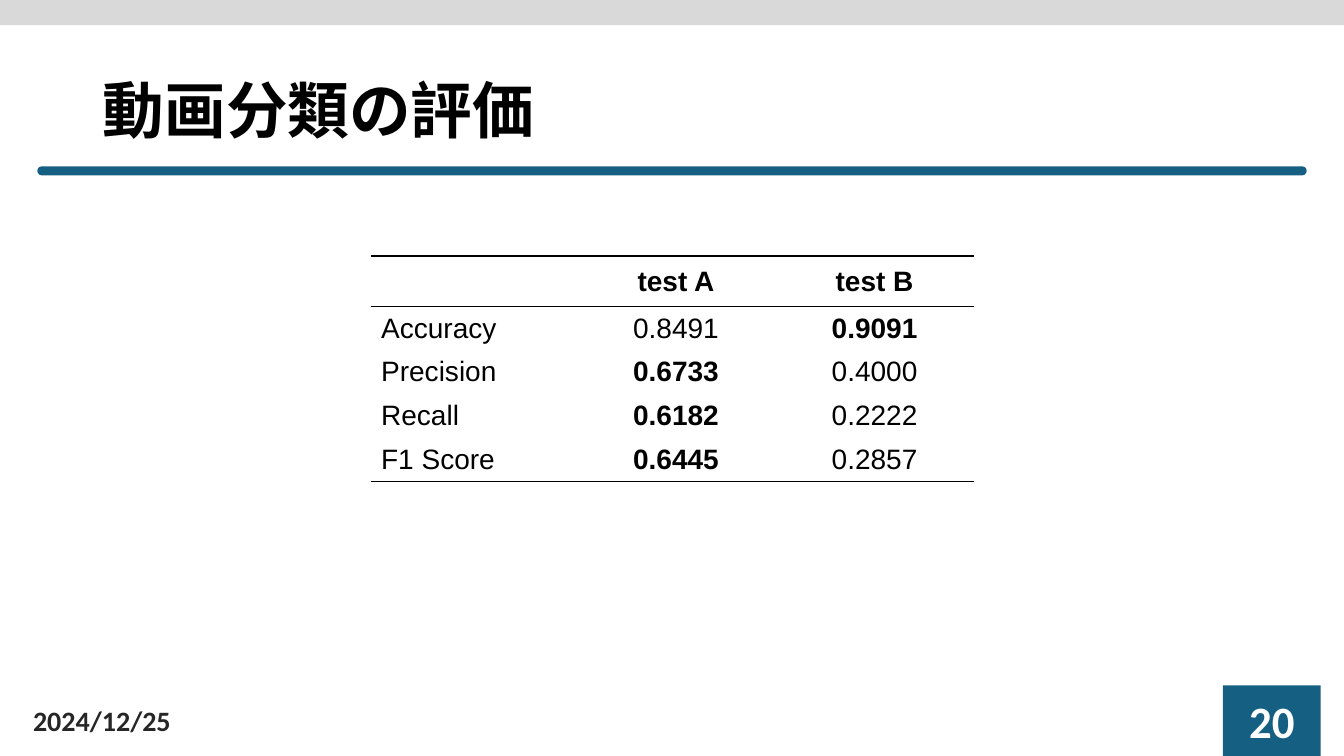
from lxml import etree
from pptx import Presentation
from pptx.dml.color import RGBColor
from pptx.enum import shapes, text
from pptx.oxml import ns
from pptx.util import Inches, Pt

TITLE = "動画分類の評価"
DATE = "2024/12/25"
PAGE = "20"
SCORES = [
    ("", "test A", "test B"),
    ("Accuracy", "0.8491", "0.9091"),
    ("Precision", "0.6733", "0.4000"),
    ("Recall", "0.6182", "0.2222"),
    ("F1 Score", "0.6445", "0.2857"),
]
COLUMN_WIDTHS = [2.04, 1.97, 1.97]
ROW_HEIGHTS = [0.5] + [0.435] * 4
RULED_EDGES = {0, 1, len(SCORES)}
COLORS = {"band": "D9D9D9", "accent": "156082", "black": "000000",
          "date": "262626", "white": "FFFFFF"}


def rgb(name):
    return RGBColor.from_string(COLORS[name])


def write(frame, content, size, color, font="Calibri", bold=True,
          align=text.PP_ALIGN.LEFT):
    frame.text = content
    paragraph = frame.paragraphs[0]
    paragraph.alignment = align
    paragraph.font.size = Pt(size)
    for run in paragraph.runs:
        run.font.name = font
        run.font.size = Pt(size)
        run.font.bold = bold
        run.font.color.rgb = rgb(color)


def add_block(slide, kind, box, color):
    shape = slide.shapes.add_shape(kind, *map(Inches, box))
    shape.shadow.inherit = False
    shape.fill.solid()
    shape.fill.fore_color.rgb = rgb(color)
    shape.line.fill.background()
    return shape


def set_border(cell, side, visible):
    properties = cell._tc.get_or_add_tcPr()
    line = etree.SubElement(properties, ns.qn("a:ln" + side), w=str(Pt(1)))
    if visible:
        fill = etree.SubElement(line, ns.qn("a:solidFill"))
        etree.SubElement(fill, ns.qn("a:srgbClr"), val=COLORS["black"])
    else:
        etree.SubElement(line, ns.qn("a:noFill"))


presentation = Presentation()
presentation.slide_width = Inches(13.33)
presentation.slide_height = Inches(7.5)
slide = presentation.slides.add_slide(presentation.slide_layouts[5])

# Top band, title and rule
add_block(slide, shapes.MSO_SHAPE.RECTANGLE, (0, -0.02, 13.33, 0.27), "band")
title = slide.shapes.title
title.left, title.top, title.width, title.height = map(Inches, (0.92, 0.4, 11.5, 1.45))
title.text_frame.vertical_anchor = text.MSO_ANCHOR.MIDDLE
write(title.text_frame, TITLE, 44, "black")
title.text_frame.paragraphs[0].line_spacing = 0.9
rule = add_block(slide, shapes.MSO_SHAPE.ROUNDED_RECTANGLE,
                 (0.37, 1.65, 12.59, 0.09), "accent")
rule.adjustments[0] = 0.5

# Date and page number
date = slide.shapes.add_textbox(*map(Inches, (0.23, 6.95, 3, 0.4)))
date.text_frame.word_wrap = True
date.text_frame.vertical_anchor = text.MSO_ANCHOR.MIDDLE
write(date.text_frame, DATE, 20, "date")
page = add_block(slide, shapes.MSO_SHAPE.RECTANGLE, (12.13, 6.8, 0.97, 0.7), "accent")
page.text_frame.vertical_anchor = text.MSO_ANCHOR.MIDDLE
write(page.text_frame, PAGE, 32, "white", align=text.PP_ALIGN.CENTER)

# Score table
table = slide.shapes.add_table(
    len(SCORES), len(COLUMN_WIDTHS), Inches(3.68), Inches(2.54),
    Inches(sum(COLUMN_WIDTHS)), Inches(sum(ROW_HEIGHTS))).table
for column, width in zip(table.columns, COLUMN_WIDTHS):
    column.width = Inches(width)
for row, height in zip(table.rows, ROW_HEIGHTS):
    row.height = Inches(height)

for row_index, values in enumerate(SCORES):
    best = max(values[1:])
    for column_index, value in enumerate(values):
        cell = table.cell(row_index, column_index)
        cell.vertical_anchor = text.MSO_ANCHOR.MIDDLE
        write(cell.text_frame, value, 20, "black", "Arial",
              bold=row_index == 0 or value == best,
              align=text.PP_ALIGN.CENTER if column_index else text.PP_ALIGN.LEFT)
        for side in "LR":
            set_border(cell, side, False)
        set_border(cell, "T", row_index in RULED_EDGES)
        set_border(cell, "B", row_index + 1 in RULED_EDGES)
        cell.fill.solid()
        cell.fill.fore_color.rgb = rgb("white")

presentation.save("out.pptx")
